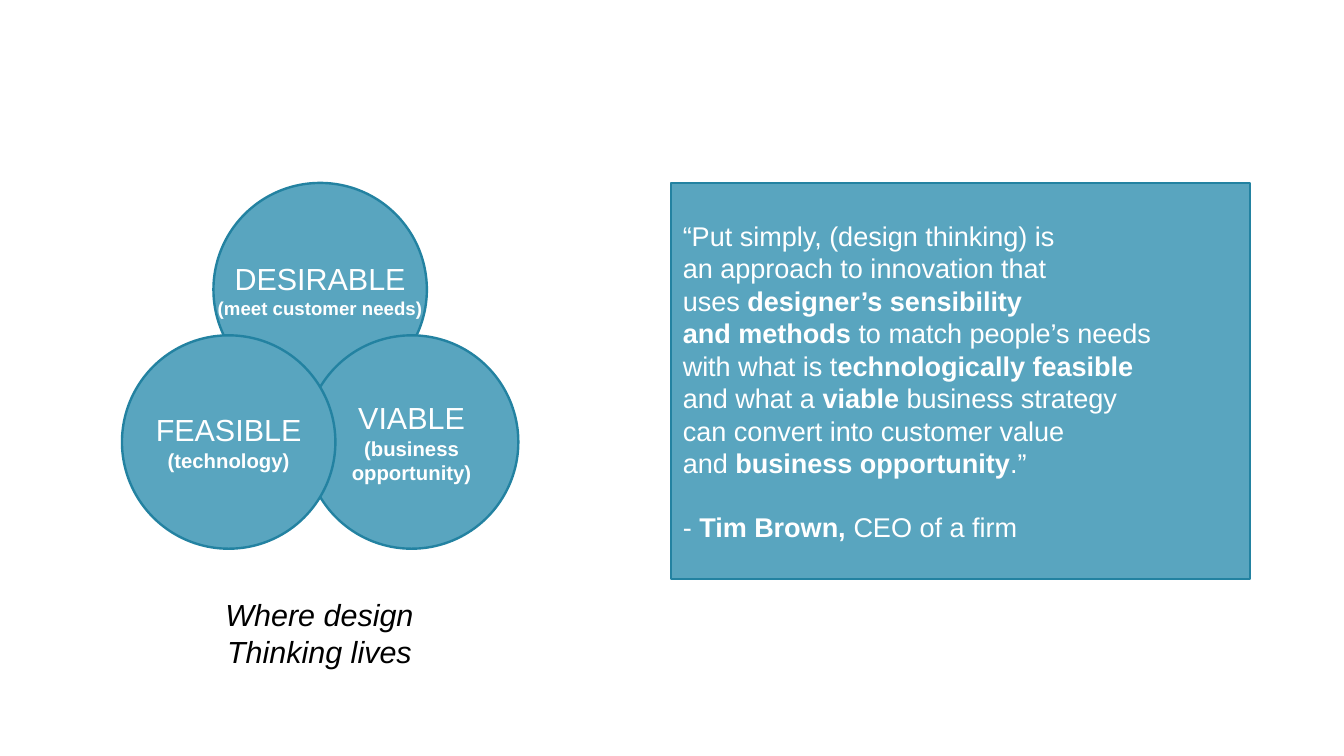
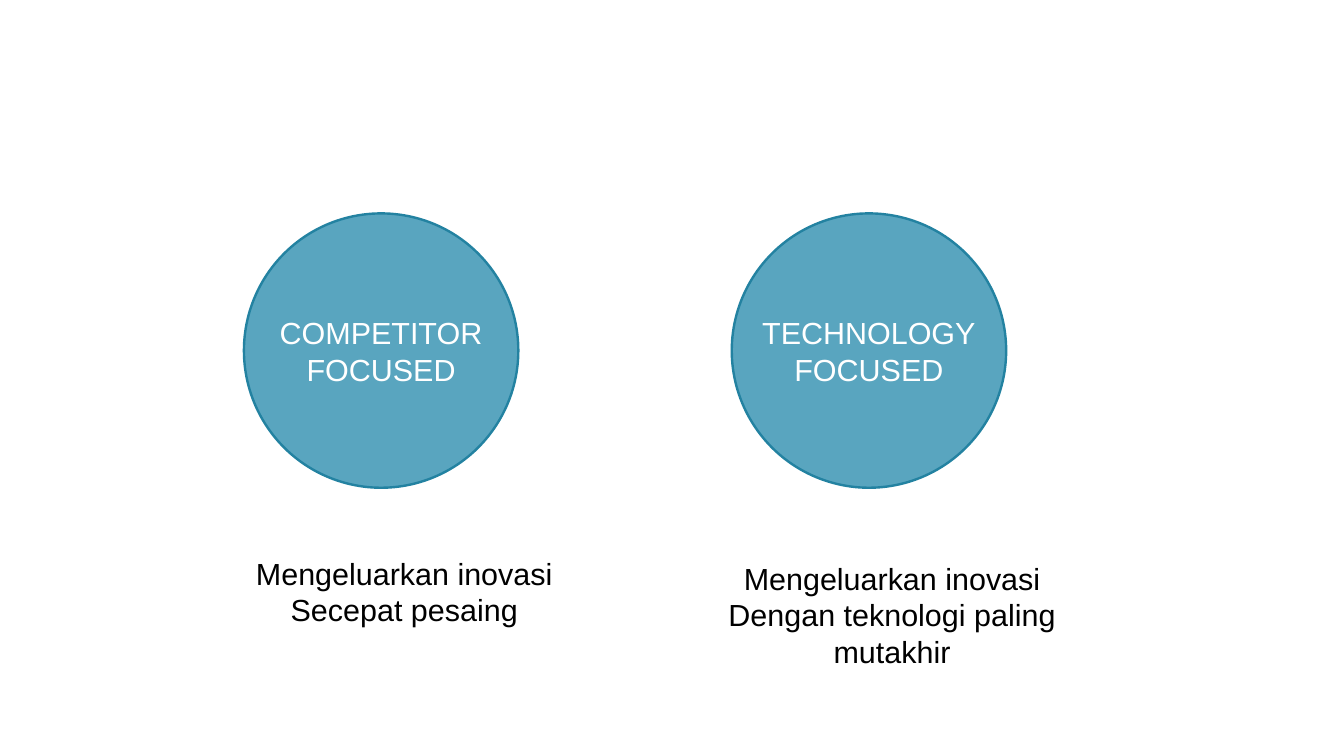
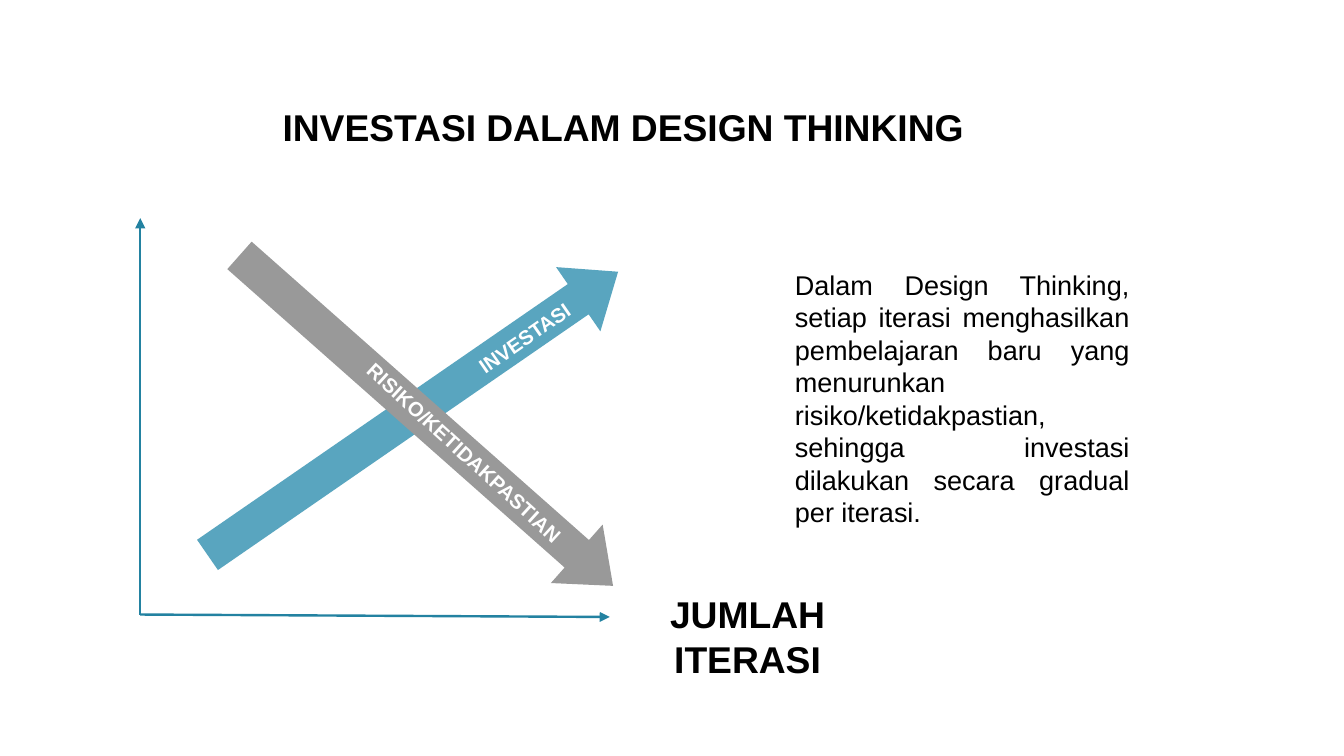
from dataclasses import dataclass

import lxml.etree
import pptx
import pptx.dml.color
import pptx.enum.shapes
import pptx.enum.text
import pptx.oxml.ns
import pptx.util

Inches = pptx.util.Inches
Pt = pptx.util.Pt
RGBColor = pptx.dml.color.RGBColor
SHAPE = pptx.enum.shapes.MSO_SHAPE
ALIGN = pptx.enum.text.PP_ALIGN

BLUE = RGBColor(0x59, 0xA5, 0xBF)
DARK_BLUE = RGBColor(0x23, 0x82, 0xA1)
GRAY = RGBColor(0x99, 0x99, 0x99)
WHITE = RGBColor(0xFF, 0xFF, 0xFF)
BLACK = RGBColor(0x00, 0x00, 0x00)
FONT = "Arial"
LINE_WIDTH = Pt(1.42)


@dataclass(frozen=True)
class Span:
    text: str
    bold: bool = False


@dataclass(frozen=True)
class Line:
    spans: tuple[Span, ...]
    size: float
    space_before: float = 0


@dataclass(frozen=True)
class Area:
    left: float
    top: float
    width: float
    height: float

    def lengths(self):
        return [Inches(value) for value in (self.left, self.top, self.width, self.height)]


@dataclass(frozen=True)
class Circle:
    left: float
    top: float
    diameter: float
    lines: list[Line]


@dataclass(frozen=True)
class Label:
    area: Area
    lines: list[Line]
    color: RGBColor = BLACK
    align: ALIGN = ALIGN.CENTER
    italic: bool = False
    wrap: bool = True
    rotation: float = 0


@dataclass(frozen=True)
class Trend:
    area: Area
    rotation: float
    color: RGBColor


def plain(size: float, *texts: str, bold: bool = False) -> list[Line]:
    return [Line((Span(text, bold),), size) for text in texts]


def write(frame, lines: list[Line], color: RGBColor, align: ALIGN,
          wrap: bool, italic: bool = False) -> None:
    frame.word_wrap = wrap
    for index, line in enumerate(lines):
        para = frame.add_paragraph() if index else frame.paragraphs[0]
        para.alignment = align
        if line.space_before:
            para.space_before = Pt(line.space_before)
        for span in line.spans:
            run = para.add_run()
            run.text = span.text
            run.font.name = FONT
            run.font.size = Pt(line.size)
            run.font.bold = span.bold
            run.font.italic = italic
            run.font.color.rgb = color


def add_panel(page, kind: SHAPE, area: Area, lines: list[Line], align: ALIGN) -> None:
    panel = page.shapes.add_shape(kind, *area.lengths())
    panel.shadow.inherit = False
    panel.fill.solid()
    panel.fill.fore_color.rgb = BLUE
    panel.line.color.rgb = DARK_BLUE
    panel.line.width = LINE_WIDTH
    panel.text_frame.vertical_anchor = pptx.enum.text.MSO_ANCHOR.MIDDLE
    write(panel.text_frame, lines, WHITE, align, wrap=False)


def add_circle(page, circle: Circle) -> None:
    area = Area(circle.left, circle.top, circle.diameter, circle.diameter)
    add_panel(page, SHAPE.OVAL, area, circle.lines, ALIGN.CENTER)


def add_label(page, label: Label) -> None:
    box = page.shapes.add_textbox(*label.area.lengths())
    box.rotation = label.rotation
    write(box.text_frame, label.lines, label.color, label.align, label.wrap, label.italic)


def add_trend(page, trend: Trend) -> None:
    arrow = page.shapes.add_shape(SHAPE.RIGHT_ARROW, *trend.area.lengths())
    arrow.shadow.inherit = False
    arrow.adjustments[0] = 0.47
    arrow.adjustments[1] = 0.62
    arrow.rotation = trend.rotation
    arrow.fill.solid()
    arrow.fill.fore_color.rgb = trend.color
    arrow.line.fill.background()


def add_axis(page, start: tuple[float, float], end: tuple[float, float]) -> None:
    axis = page.shapes.add_connector(
        pptx.enum.shapes.MSO_CONNECTOR.STRAIGHT,
        *(Inches(value) for value in start + end))
    axis.line.color.rgb = DARK_BLUE
    axis.line.width = LINE_WIDTH
    properties = axis.get_or_add_ln()
    lxml.etree.SubElement(properties, pptx.oxml.ns.qn("a:tailEnd"), type="triangle")
    lxml.etree.SubElement(properties.getparent(), pptx.oxml.ns.qn("a:effectLst"))


def build_definition(page) -> None:
    quote = [
        (Span("“Put simply, (design thinking) is"),),
        (Span("an approach to innovation that"),),
        (Span("uses "), Span("designer’s sensibility", True)),
        (Span("and methods", True), Span(" to match people’s needs")),
        (Span("with what is t"), Span("echnologically feasible", True)),
        (Span("and what a "), Span("viable", True), Span(" business strategy")),
        (Span("can convert into customer value"),),
        (Span("and "), Span("business opportunity", True), Span(".”")),
    ]
    author = (Span("- "), Span("Tim Brown, ", True), Span("CEO of a firm"))
    lines = [Line(spans, 16) for spans in quote] + [Line(author, 16, space_before=18.4)]
    add_panel(page, SHAPE.RECTANGLE, Area(5.5, 1.5, 4.75, 3.25), lines, ALIGN.LEFT)

    for left, top, name, size, details in (
        (1.75, 1.5, "DESIRABLE", 11, ("(meet customer needs)",)),
        (2.5, 2.75, "VIABLE", 12, ("(business", "opportunity)")),
        (1, 2.75, "FEASIBLE", 12, ("(technology)",)),
    ):
        lines = plain(18, name) + plain(size, *details, bold=True)
        add_circle(page, Circle(left, top, 1.75, lines))
    add_label(page, Label(Area(1.75, 4.84, 1.74, 0.66),
                          plain(18, "Where design", "Thinking lives"),
                          italic=True, wrap=False))


def build_focus(page) -> None:
    for left, name in ((2, "COMPETITOR"), (6, "TECHNOLOGY")):
        add_circle(page, Circle(left, 1.75, 2.25, plain(18, name, "FOCUSED")))
    for left, top, details in (
        (1.5, 4.5, ("Secepat pesaing",)),
        (5.5, 4.54, ("Dengan teknologi paling", "mutakhir")),
    ):
        add_label(page, Label(Area(left, top, 3.63, 0.38),
                              plain(18, "Mengeluarkan inovasi", *details)))


def build_investment(page) -> None:
    origin = (1.15, 5.04)
    for end in ((1.15, 1.79), (5, 5.06)):
        add_axis(page, origin, end)
    for trend in (
        Trend(Area(1.34, 3.07, 4.09, 0.64), 325.4, BLUE),
        Trend(Area(1.45, 3.13, 4.09, 0.64), 41.5, GRAY),
    ):
        add_trend(page, trend)
    explanation = (
        "Dalam Design Thinking, setiap iterasi menghasilkan pembelajaran baru yang "
        "menurunkan risiko/ketidakpastian, sehingga investasi dilakukan secara "
        "gradual per iterasi."
    )
    for label in (
        Label(Area(3.6, 2.62, 1.41, 0.32), plain(12, "INVESTASI", bold=True),
              color=WHITE, rotation=325.4),
        Label(Area(2.34, 3.56, 2.92, 0.32), plain(12, "RISIKO/KETIDAKPASTIAN", bold=True),
              color=WHITE, rotation=42.5),
        Label(Area(2, 0.81, 6.22, 0.44),
              plain(22, "INVESTASI DALAM DESIGN THINKING", bold=True)),
        Label(Area(6.42, 2.15, 2.94, 0.75), plain(16, explanation), align=ALIGN.JUSTIFY),
        Label(Area(5.25, 4.8, 1.76, 0.44), plain(22, "JUMLAH ITERASI", bold=True)),
    ):
        add_label(page, label)


def main() -> None:
    deck = pptx.Presentation()
    deck.slide_width = Inches(11.02)
    deck.slide_height = Inches(6.2)
    for build in (build_definition, build_focus, build_investment):
        build(deck.slides.add_slide(deck.slide_layouts[6]))
    deck.save("out.pptx")


if __name__ == "__main__":
    main()
